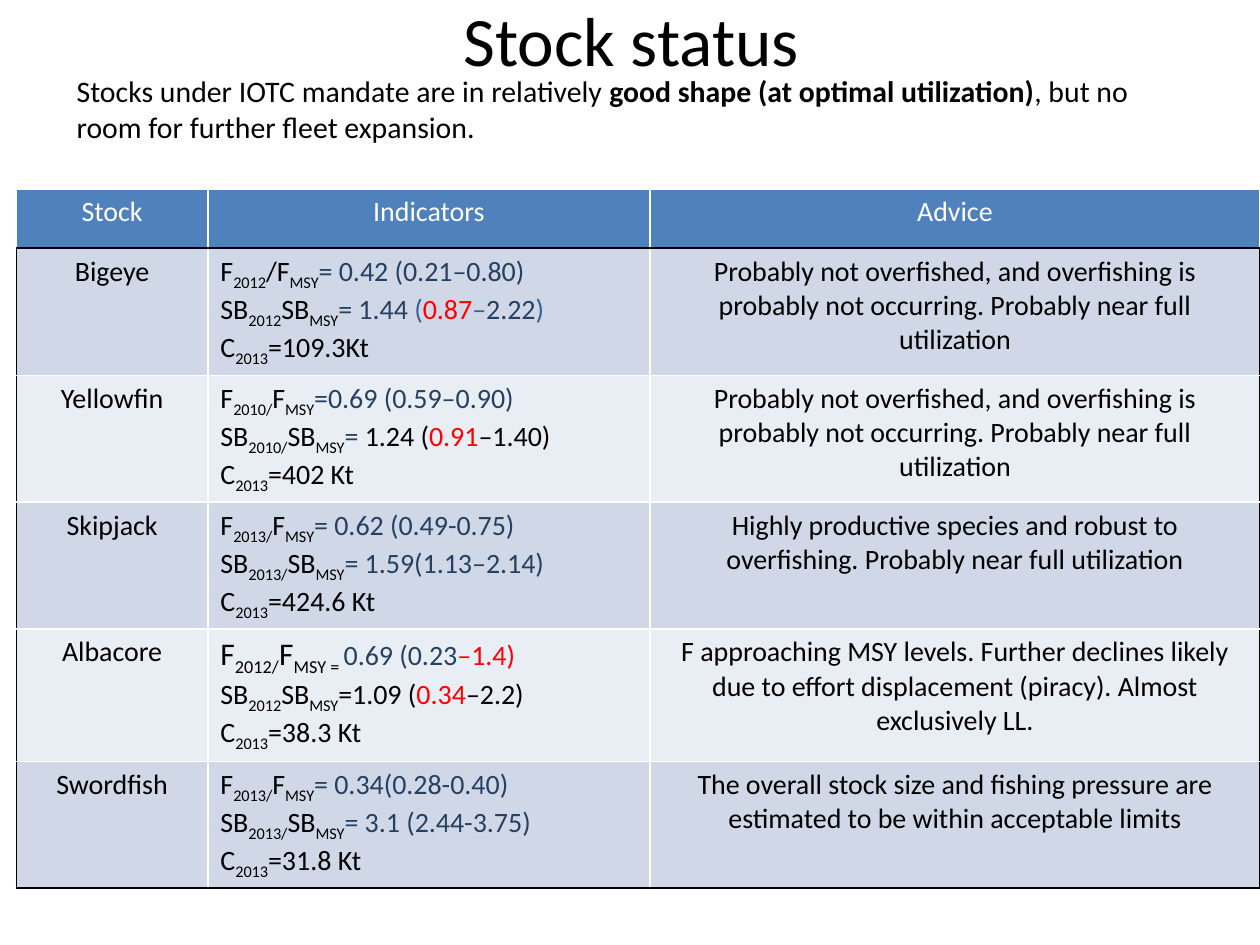
from lxml import etree
from pptx import Presentation
from pptx import util as u
from pptx.dml.color import RGBColor
from pptx.enum import text
from pptx.oxml import ns

FONT = "Calibri"
BLACK, WHITE, RED = "000000", "FFFFFF", "FF0000"
NAVY, BLUE = "254061", "376092"
HEADER, BANDS = "4F81BD", ("D0D8E8", "E9EDF4")
COLS = (1.52, 3.51, 4.84)
ROWS = (0.47, 1.01, 1, 1, 1.05, 1)
BREAK = ("\n",)
CENTER = text.PP_ALIGN.CENTER
NEAR_FULL = ("Probably not overfished, and overfishing is probably not "
             "occurring. Probably near full utilization")

# Stock, indicator paragraphs, advice.
# A run is (text, colour, size); text between underscores is subscript.
STOCKS = [
    ("Bigeye",
     [[("F_2012_/F_MSY_",), ("= 0.42 (0.21–0.80)", NAVY)],
      [("SB_2012_SB_MSY_",), ("= 1.44 ", NAVY), ("(", BLUE), ("0.87", RED),
       ("–", BLUE), ("2.22", NAVY), (")", BLUE)],
      [("C_2013_=109.3Kt",)]],
     NEAR_FULL),
    ("Yellowfin",
     [[("F_2010/_F_MSY_",), ("=0.69 (0.59–0.90)", NAVY)],
      [("SB_2010/_SB_MSY_",), ("= ", NAVY), ("1.24 (",), ("0.91", RED), ("–1.40)",)],
      [("C_2013_=402 Kt",)]],
     NEAR_FULL),
    ("Skipjack",
     [[("F_2013/_F_MSY_",), ("= 0.62 (0.49-0.75)", NAVY)],
      [("SB_2013/_SB_MSY_",), ("= 1.59(1.13–2.14)", NAVY), BREAK,
       ("C_2013_=424.6 Kt",)]],
     "Highly productive species and robust to overfishing. "
     "Probably near full utilization"),
    ("Albacore",
     [[("F_2012/_F_MSY = _", BLACK, 18), ("0.69 (0.23", NAVY), ("–1.4)", RED)],
      [("SB_2012_SB_MSY_=1.09 (",), ("0.34", RED), ("–2.2)",), BREAK,
       ("C_2013_=38.3 Kt",)]],
     "F approaching MSY levels. Further declines likely due to effort "
     "displacement (piracy). Almost exclusively LL."),
    ("Swordfish",
     [[("F_2013/_F_MSY_",), ("= 0.34(0.28-0.40)", NAVY)],
      [("SB_2013/_SB_MSY_",), ("= 3.1 (2.44-3.75)", NAVY), BREAK,
       ("C_2013_=31.8 Kt",)]],
     "The overall stock size and fishing pressure are estimated to be "
     "within acceptable limits"),
]


def rgb(value):
    return RGBColor.from_string(value)


def add_run(p, words, color=BLACK, size=16, bold=False, subscript=False):
    r = p.add_run()
    r.text = words
    r.font.name, r.font.size, r.font.bold = FONT, u.Pt(size), bold
    r.font.color.rgb = rgb(color)
    if subscript:
        r._r.get_or_add_rPr().set("baseline", "-25000")


def add_marked_runs(p, words, color=BLACK, size=16):
    """Add runs, lowering each part that stands between underscores."""
    if words == "\n":
        p.add_line_break()
        return
    for i, part in enumerate(words.split("_")):
        if part:
            add_run(p, part, color, size, subscript=i % 2 == 1)


def set_borders(cell, colors):
    """Draw 1 pt borders; colors are left, right, top, bottom."""
    tc_pr = cell._tc.get_or_add_tcPr()
    for i, (side, color) in enumerate(zip("LRTB", colors)):
        ln = etree.Element(ns.qn(f"a:ln{side}"), w=str(u.Pt(1)))
        fill = etree.SubElement(ln, ns.qn("a:solidFill"))
        etree.SubElement(fill, ns.qn("a:srgbClr"), val=color)
        tc_pr.insert(i, ln)


def fill_cell(cell, paragraphs, fill, align=None):
    cell.fill.solid()
    cell.fill.fore_color.rgb = rgb(fill)
    tf = cell.text_frame
    for i, runs in enumerate(paragraphs):
        p = tf.add_paragraph() if i else tf.paragraphs[0]
        p.alignment = align
        for run in runs:
            add_marked_runs(p, *run)


def add_title(s, words):
    title = s.shapes.title
    title.left, title.top = u.Inches(0.51), 0
    title.width, title.height = u.Inches(9), u.Inches(0.61)
    tf = title.text_frame
    tf.auto_size = text.MSO_AUTO_SIZE.NONE
    tf.vertical_anchor = text.MSO_ANCHOR.MIDDLE
    p = tf.paragraphs[0]
    p.alignment = CENTER
    add_run(p, words, size=39.6)


def add_summary(s):
    box = s.shapes.add_textbox(*map(u.Inches, (0.51, 0.53, 8.81, 0.67)))
    tf = box.text_frame
    tf.word_wrap = True
    tf.auto_size = text.MSO_AUTO_SIZE.SHAPE_TO_FIT_TEXT
    p = tf.paragraphs[0]
    add_run(p, "Stocks under IOTC mandate are in relatively ", size=17)
    add_run(p, "good shape (at optimal utilization)", size=17, bold=True)
    add_run(p, ", but no room for further fleet expansion.", size=17)


def add_stock_table(s):
    frame = s.shapes.add_table(len(ROWS), len(COLS), *map(
        u.Inches, (0.13, 1.5, sum(COLS), sum(ROWS))))
    table = frame.table
    for column, width in zip(table.columns, COLS):
        column.width = u.Inches(width)
    for row, height in zip(table.rows, ROWS):
        row.height = u.Inches(height)

    last_row, last_col = len(ROWS) - 1, len(COLS) - 1
    for i in range(len(ROWS)):
        for j in range(len(COLS)):
            outer = (i > 0 and j == 0, i > 0 and j == last_col,
                     i == 1, i in (0, last_row))
            set_borders(table.cell(i, j), [BLACK if edge else WHITE for edge in outer])

    for j, label in enumerate(("Stock", "Indicators", "Advice")):
        fill_cell(table.cell(0, j), [[(label, WHITE)]], HEADER, CENTER)
    for i, (stock, indicators, advice) in enumerate(STOCKS):
        band = BANDS[i % 2]
        fill_cell(table.cell(i + 1, 0), [[(stock,)]], band, CENTER)
        fill_cell(table.cell(i + 1, 1), indicators, band)
        fill_cell(table.cell(i + 1, 2), [[(advice,)]], band, CENTER)


def main():
    prs = Presentation()
    prs.slide_width, prs.slide_height = u.Inches(10), u.Inches(7.5)
    s = prs.slides.add_slide(prs.slide_layouts[5])
    add_stock_table(s)
    add_title(s, "Stock status")
    add_summary(s)
    prs.save("out.pptx")


if __name__ == "__main__":
    main()
